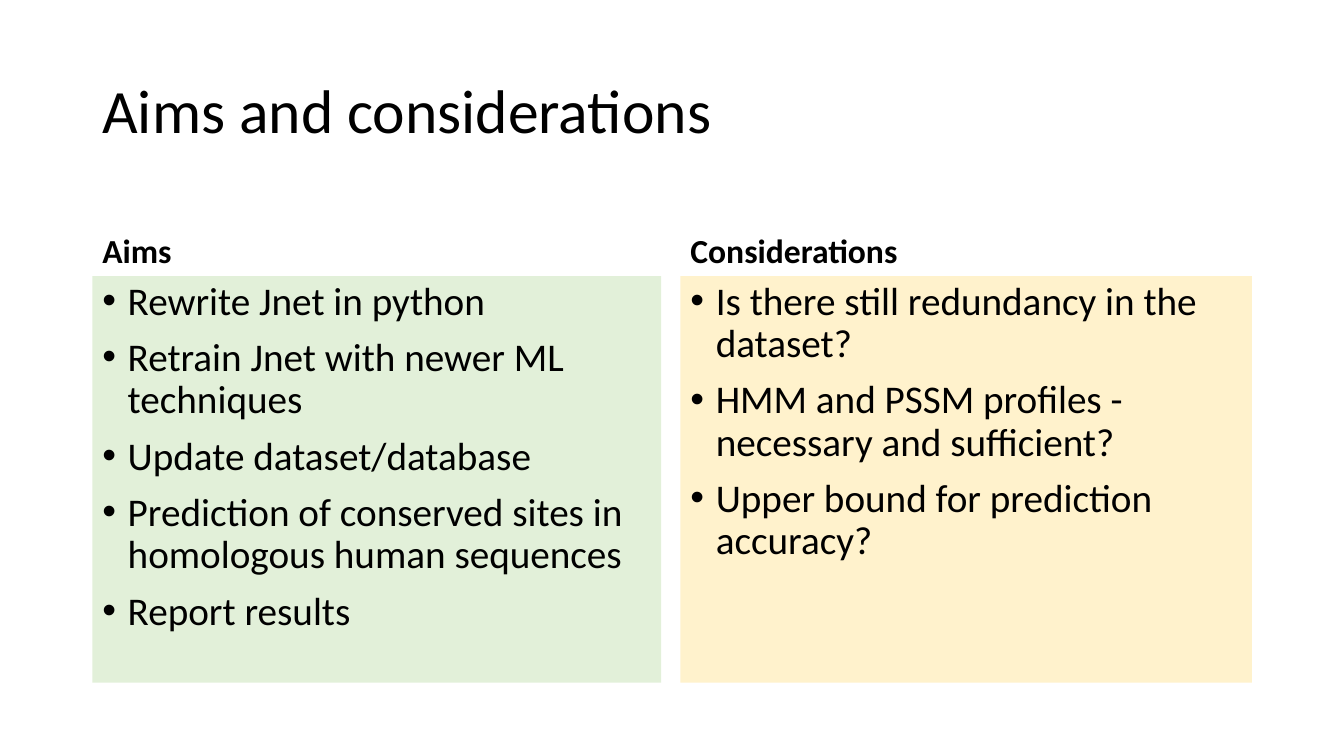
from lxml import etree
from pptx import Presentation
from pptx import util as u
from pptx.dml.color import RGBColor
from pptx.enum import shapes, text
from pptx.oxml.ns import qn

COLORS = {"ink": "000000", "aims": "E2F0D9", "considerations": "FFF2CC"}
FONT = "Calibri"
INDENT = u.Cm(0.64)

LEFT = 2.33
HEADING_TOP, HEADING_HEIGHT = 4.67, 2.29
PANEL_TOP, PANEL_HEIGHT = HEADING_TOP + HEADING_HEIGHT, 10.24

# Each column: heading, panel colour, left, width, points
COLUMNS = [
    ("Aims", "aims", LEFT, 14.33, [
        "Rewrite Jnet in python",
        "Retrain Jnet with newer ML techniques",
        "Update dataset/database",
        "Prediction of conserved sites in homologous human sequences",
        "Report results",
    ]),
    ("Considerations", "considerations", 17.15, 14.4, [
        "Is there still redundancy in the dataset?",
        "HMM and PSSM profiles - necessary and sufficient?",
        "Upper bound for prediction accuracy?",
    ]),
]


def write_text(shape, lines, size, bold=False, bullet=False, space_before=10,
               anchor=text.MSO_ANCHOR.TOP):
    frame = shape.text_frame
    frame.word_wrap = True
    frame.vertical_anchor = anchor
    for index, line in enumerate(lines):
        paragraph = frame.add_paragraph() if index else frame.paragraphs[0]
        paragraph.alignment = text.PP_ALIGN.LEFT
        paragraph.line_spacing = 0.9
        paragraph.space_before = u.Pt(space_before)
        if bullet:
            properties = paragraph._p.get_or_add_pPr()
            properties.set("marL", str(INDENT))
            properties.set("indent", str(-INDENT))
            etree.SubElement(properties, qn("a:buFont"), typeface="Arial")
            etree.SubElement(properties, qn("a:buChar"), char="•")
        run = paragraph.add_run()
        run.text = line
        run.font.name = FONT
        run.font.size = u.Pt(size)
        run.font.bold = bold
        run.font.color.rgb = RGBColor.from_string(COLORS["ink"])


class SlideBuilder:
    def __init__(self, slide):
        self.slide = slide

    def label(self, line, left, top, width, height, **text_format):
        box = self.slide.shapes.add_textbox(
            u.Cm(left), u.Cm(top), u.Cm(width), u.Cm(height))
        write_text(box, [line], **text_format)

    def bullet_panel(self, lines, color, left, top, width, height):
        panel = self.slide.shapes.add_shape(
            shapes.MSO_SHAPE.RECTANGLE,
            u.Cm(left), u.Cm(top), u.Cm(width), u.Cm(height))
        panel.shadow.inherit = False
        panel.fill.solid()
        panel.fill.fore_color.rgb = RGBColor.from_string(COLORS[color])
        panel.line.fill.background()
        write_text(panel, lines, size=28, bullet=True)


def main():
    presentation = Presentation()
    presentation.slide_width = u.Cm(33.87)
    presentation.slide_height = u.Cm(19.05)
    builder = SlideBuilder(
        presentation.slides.add_slide(presentation.slide_layouts[6]))

    # Title
    builder.label("Aims and considerations", LEFT, 1.01, 29.21, 3.68,
                  size=44, space_before=0, anchor=text.MSO_ANCHOR.MIDDLE)

    # Headed columns
    for heading, color, left, width, points in COLUMNS:
        builder.label(heading, left, HEADING_TOP, width, HEADING_HEIGHT,
                      size=24, bold=True, anchor=text.MSO_ANCHOR.BOTTOM)
        builder.bullet_panel(points, color, left, PANEL_TOP, width, PANEL_HEIGHT)

    presentation.save("out.pptx")


if __name__ == "__main__":
    main()
